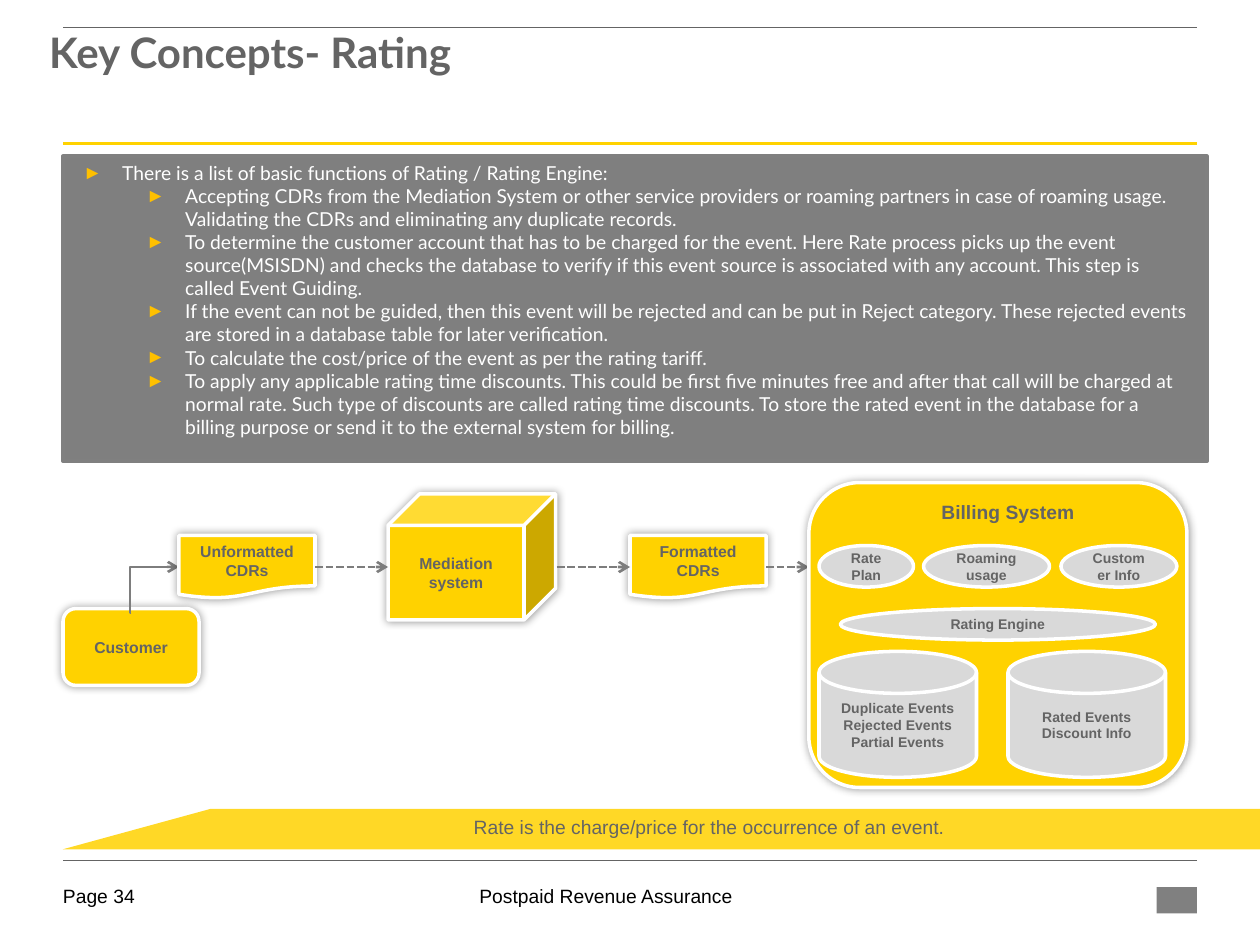
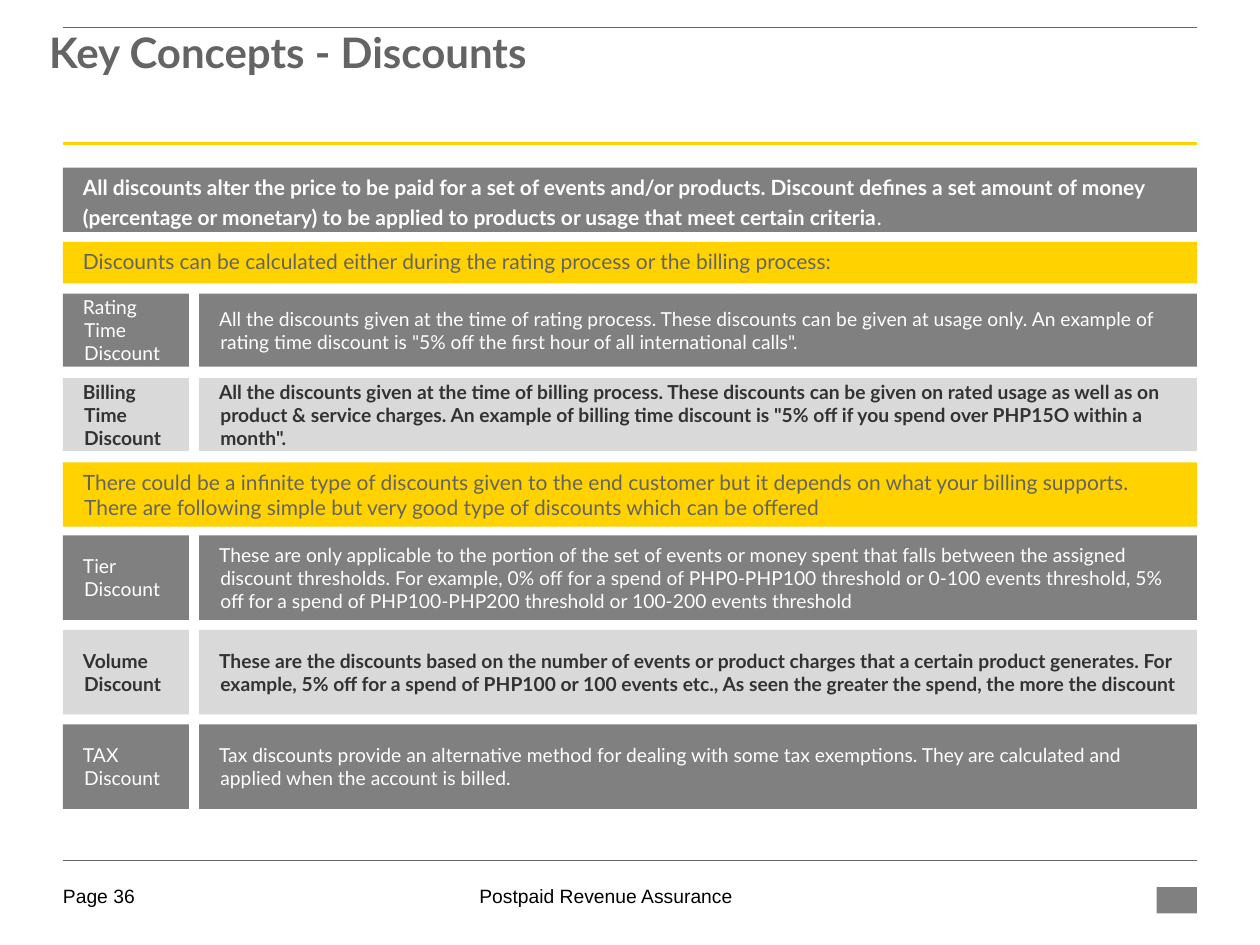
from dataclasses import dataclass

from lxml.etree import SubElement
from pptx import Presentation
from pptx.dml.color import RGBColor
from pptx.enum.dml import MSO_LINE
from pptx.enum.shapes import MSO_CONNECTOR, MSO_SHAPE
from pptx.enum.text import MSO_ANCHOR, MSO_AUTO_SIZE, PP_ALIGN
from pptx.oxml.ns import qn
from pptx.util import Inches, Pt


@dataclass(frozen=True)
class Theme:
    """Colours, fonts and type sizes shared by the slides."""
    yellow: str = "FFD200"
    bullet: str = "FFC000"
    grey: str = "808080"
    panel: str = "7F7F7F"
    pale: str = "D9D9D9"
    ink: str = "646464"
    dark: str = "323232"
    arrow: str = "7D7D7D"
    white: str = "FFFFFF"
    black: str = "000000"
    heading_font: str = "Lato"
    label_font: str = "Arial"
    title_size: int = 24
    lead_size: int = 12
    text_size: int = 11
    label_size: int = 9
    small_size: int = 8


THEME = Theme()


@dataclass(frozen=True)
class Box:
    """A rectangle in inches."""
    left: float
    top: float
    width: float
    height: float

    def inner(self, dx, dy, width, height):
        """Return a box placed relative to this one."""
        return Box(self.left + dx, self.top + dy, width, height)

    def emu(self):
        """Return left, top, width and height as lengths."""
        return [Inches(v) for v in (self.left, self.top, self.width, self.height)]


FUNCTIONS = [
    "There is a list of basic functions of Rating / Rating Engine:",
    "Accepting CDRs from the Mediation System or other service providers or roaming partners in case of "
    "roaming usage. Validating the CDRs and eliminating any duplicate records.",
    "To determine the customer account that has to be charged for the event. Here Rate process picks up the "
    "event source(MSISDN) and checks the database to verify if this event source is associated with any "
    "account. This step is called Event Guiding.",
    "If the event can not be guided, then this event will be rejected and can be put in Reject category. "
    "These rejected events are stored in a database table for later verification.",
    "To calculate the cost/price of the event as per the rating tariff.",
    "To apply any applicable rating time discounts. This could be first five minutes free and after that "
    "call will be charged at normal rate. Such type of discounts are called rating time discounts. To store "
    "the rated event in the database for a billing purpose or send it to the external system for billing.",
]

DEFINITION = (
    "All discounts alter the price to be paid for a set of events and/or products. Discount defines a set "
    "amount of money (percentage or monetary) to be applied to products or usage that meet certain criteria")
TIMING = "Discounts can be calculated either during the rating process or the billing process:"
VARIETY = (
    "There could be a infinite type of discounts given to the end customer but it depends on what your "
    "billing supports. There are following simple but very good type of discounts which can be offered")
TIMED_DISCOUNTS = [
    ("Rating Time Discount",
     "All the discounts given at the time of rating process. These discounts can be given at usage only. An "
     "example of rating time discount is \"5% off the first hour of all international calls\"."),
    ("Billing Time Discount",
     "All the discounts given at the time of billing process. These discounts can be given on rated usage as "
     "well as on product & service charges. An example of billing time discount is \"5% off if you spend over "
     "PHP15O within a month\"."),
]
OFFERED_DISCOUNTS = [
    ("Tier Discount",
     "These are only applicable to the portion of the set of events or money spent that falls between the "
     "assigned discount thresholds. For example, 0% off for a spend of PHP0-PHP100 threshold or 0-100 events "
     "threshold, 5% off for a spend of PHP100-PHP200 threshold or 100-200 events threshold"),
    ("Volume Discount",
     "These are the discounts based on the number of events or product charges that a certain product "
     "generates. For example, 5% off for a spend of PHP100 or 100 events etc., As seen the greater the spend, "
     "the more the discount"),
    ("TAX Discount",
     "Tax discounts provide an alternative method for dealing with some tax exemptions. They are calculated "
     "and applied when the account is billed."),
]


def rgb(colour):
    """Turn a hex string into a colour."""
    return RGBColor.from_string(colour)


def set_frame(frame, **formats):
    """Set text frame attributes over common defaults."""
    defaults = {"word_wrap": True, "auto_size": MSO_AUTO_SIZE.NONE, "vertical_anchor": MSO_ANCHOR.MIDDLE}
    for name, value in (defaults | formats).items():
        setattr(frame, name, value)


def add_run(paragraph, text, size, colour, font=THEME.label_font, bold=False):
    """Append a formatted run."""
    run = paragraph.add_run()
    run.text = text
    for name, value in {"size": Pt(size), "name": font, "bold": bold}.items():
        setattr(run.font, name, value)
    run.font.color.rgb = rgb(colour)


def indent(paragraph, left, first):
    """Set the left margin and first-line indent in inches."""
    properties = paragraph._p.get_or_add_pPr()
    properties.set("marL", str(Inches(left)))
    properties.set("indent", str(Inches(first)))
    return properties


def paint(shape, fill, line=None, width=2):
    """Fill and outline a shape."""
    shape.fill.solid()
    shape.fill.fore_color.rgb = rgb(fill)
    if line:
        shape.line.color.rgb = rgb(line)
        shape.line.width = Pt(width)
    else:
        shape.line.fill.background()


def add_block(slide, kind, box, fill, line=None):
    """Add a flat preset shape."""
    shape = slide.shapes.add_shape(kind, *box.emu())
    shape.shadow.inherit = False
    paint(shape, fill, line)
    return shape


def add_node(slide, kind, box, text="", fill=THEME.yellow, size=THEME.label_size, glow=True,
             anchor=MSO_ANCHOR.MIDDLE):
    """Add a white-edged diagram node with a centred label."""
    node = add_block(slide, kind, box, fill, THEME.white)
    if glow:
        effects = node._element.spPr.find(qn("a:effectLst"))
        shadow = SubElement(effects, qn("a:outerShdw"), blurRad=str(Pt(5)), dist="0", dir="0",
                            algn="ctr", rotWithShape="0")
        black = SubElement(shadow, qn("a:srgbClr"), val=THEME.black)
        SubElement(black, qn("a:alpha"), val="40000")
    set_frame(node.text_frame, vertical_anchor=anchor)
    write_lines(node.text_frame, text, size, True)
    return node


def write_lines(frame, text, size, bold=False, colour=THEME.ink, align=PP_ALIGN.CENTER):
    """Write one paragraph for each line of text."""
    for number, line in enumerate(text.splitlines()):
        paragraph = frame.add_paragraph() if number else frame.paragraphs[0]
        paragraph.alignment = align
        add_run(paragraph, line, size, colour, bold=bold)


def add_label(slide, box, text, margin=0.0, **style):
    """Add a text box anchored at its top."""
    frame = slide.shapes.add_textbox(*box.emu()).text_frame
    margins = dict.fromkeys(("margin_left", "margin_right", "margin_top", "margin_bottom"), Inches(margin))
    set_frame(frame, vertical_anchor=MSO_ANCHOR.TOP, **margins)
    write_lines(frame, text, THEME.text_size, **style)


def add_line(slide, start, end, colour, width, kind=MSO_CONNECTOR.STRAIGHT):
    """Add a connector without a shadow."""
    line = slide.shapes.add_connector(kind, *(Inches(v) for v in (*start, *end)))
    line.line.color.rgb = rgb(colour)
    line.line.width = Pt(width)
    SubElement(line._element.spPr, qn("a:effectLst"))
    return line


def add_arrow(slide, start, end, dashed=True, kind=MSO_CONNECTOR.STRAIGHT):
    """Add a flow arrow with an open head."""
    arrow = add_line(slide, start, end, THEME.arrow, 1.5, kind)
    if dashed:
        arrow.line.dash_style = MSO_LINE.SQUARE_DOT
    SubElement(arrow._element.spPr.find(qn("a:ln")), qn("a:tailEnd"), type="arrow")
    return arrow


def add_page(deck, layout, title, page):
    """Add a slide with its title, rules and footer."""
    slide = deck.slides.add_slide(deck.slide_layouts[layout])
    heading = slide.shapes.title
    heading.left, heading.top, heading.width, heading.height = Box(0.29, 0.22, 9.5, 0.94).emu()
    set_frame(heading.text_frame, vertical_anchor=MSO_ANCHOR.TOP)
    paragraph = heading.text_frame.paragraphs[0]
    paragraph.alignment = PP_ALIGN.LEFT
    paragraph.line_spacing = 0.85
    add_run(paragraph, title, THEME.title_size, THEME.ink, THEME.heading_font, True)
    for y, colour, width in ((0.22, THEME.ink, 0.5), (1.14, THEME.yellow, 1.5), (6.83, THEME.ink, 0.25)):
        add_line(slide, (0.5, y), (9.5, y), colour, width)
    footer = Box(0.5, 7.02, 9, 0.23)
    add_label(slide, footer.inner(0, 0, 0.73, 0.23), f"Page {page}", colour=THEME.black, align=PP_ALIGN.LEFT)
    add_label(slide, footer.inner(2.25, 0, 4.12, 0.23), "Postpaid Revenue Assurance", colour=THEME.black)
    add_block(slide, MSO_SHAPE.RECTANGLE, footer.inner(8.68, 0.02, 0.32, 0.21), THEME.grey)
    return slide


def fill_functions(slide, box):
    """Format the body placeholder as the panel of rating functions."""
    panel = slide.placeholders[1]
    panel.left, panel.top, panel.width, panel.height = box.emu()
    paint(panel, THEME.panel, THEME.grey)
    frame = panel.text_frame
    set_frame(frame, vertical_anchor=MSO_ANCHOR.TOP, margin_top=0)
    for number, text in enumerate(FUNCTIONS):
        paragraph = frame.add_paragraph() if number else frame.paragraphs[0]
        paragraph.level = min(number, 1)
        paragraph.line_spacing = 1.0 if number else 1.2
        paragraph.space_before = Pt(0)
        properties = indent(paragraph, 0.87 if number else 0.37, -0.31)
        SubElement(SubElement(properties, qn("a:buClr")), qn("a:srgbClr"), val=THEME.bullet)
        SubElement(properties, qn("a:buFont"), typeface=THEME.label_font)
        SubElement(properties, qn("a:buChar"), char="►")
        add_run(paragraph, text, THEME.text_size, THEME.white, THEME.heading_font)


def draw_flow(slide, box):
    """Draw the path of the CDRs from customer to billing."""
    add_node(slide, MSO_SHAPE.ROUNDED_RECTANGLE, box.inner(0, 0.91, 1.08, 0.61), "Customer")
    middle = box.top + 0.58
    bend = add_arrow(slide, (box.left + 0.54, box.top + 0.94), (box.left + 0.92, middle), False,
                     MSO_CONNECTOR.ELBOW)
    guides = bend._element.spPr.find(qn("a:prstGeom")).get_or_add_avLst()
    SubElement(guides, qn("a:gd"), name="adj1", fmla="val -1900")
    unformatted, formatted = (
        add_node(slide, MSO_SHAPE.FLOWCHART_DOCUMENT, box.inner(dx, 0.33, 1.08, 0.5), text)
        for dx, text in ((0.92, "Unformatted CDRs"), (4.5, "Formatted CDRs")))
    add_node(slide, MSO_SHAPE.CUBE, box.inner(2.58, 0, 1.33, 1), "Mediation system")
    for start, end, source, target in ((2, 2.58, unformatted, None), (3.92, 4.5, None, formatted),
                                       (5.58, 5.92, formatted, None)):
        arrow = add_arrow(slide, (box.left + start, middle), (box.left + end, middle))
        if source:
            arrow.begin_connect(source, 3)
        if target:
            arrow.end_connect(target, 1)


def draw_billing(slide, box):
    """Draw the billing system with its data and engine."""
    add_node(slide, MSO_SHAPE.ROUNDED_RECTANGLE, box)
    add_label(slide, box.inner(0.58, 0.09, 2, 0.29), "Billing System", 0.05, bold=True)
    oval, disk = MSO_SHAPE.OVAL, MSO_SHAPE.FLOWCHART_MAGNETIC_DISK
    middle, bottom = MSO_ANCHOR.MIDDLE, MSO_ANCHOR.BOTTOM
    for kind, place, text, anchor in (
            (oval, (0.08, 0.5, 0.75, 0.33), "Rate Plan", middle),
            (oval, (0.91, 0.5, 1, 0.33), "Roaming usage", middle),
            (oval, (2, 0.5, 0.92, 0.33), "Customer Info", middle),
            (oval, (0.25, 1, 2.5, 0.25), "Rating Engine", middle),
            (disk, (0.08, 1.34, 1.25, 1), "Duplicate Events\nRejected Events\nPartial Events", bottom),
            (disk, (1.58, 1.34, 1.25, 1), "Rated Events\nDiscount Info", middle)):
        add_node(slide, kind, box.inner(*place), text, THEME.pale, THEME.small_size, False, anchor)


def draw_banner(slide, box):
    """Draw the slanted banner with the closing statement."""
    right, bottom = box.left + box.width, box.top + box.height
    outline = slide.shapes.build_freeform(Inches(right), Inches(bottom))
    corners = [(box.left, bottom), (box.left + 1.17, box.top), (right, box.top)]
    outline.add_line_segments([(Inches(x), Inches(y)) for x, y in corners], close=True)
    banner = outline.convert_to_shape()
    banner.shadow.inherit = False
    paint(banner, THEME.yellow)
    SubElement(banner._element.spPr.find(qn("a:solidFill"))[0], qn("a:alpha"), val="85000")
    add_label(slide, box.inner(1.17, 0, 7.92, 0.29), "Rate is the charge/price for the occurrence of an event.", 0.05)


def add_bar(slide, box, text, fill, colour, size=THEME.text_size, bold=False, anchor=MSO_ANCHOR.MIDDLE):
    """Add a flat bar of left-aligned text and return its paragraph."""
    bar = add_block(slide, MSO_SHAPE.RECTANGLE, box, fill)
    set_frame(bar.text_frame, vertical_anchor=anchor)
    paragraph = bar.text_frame.paragraphs[0]
    paragraph.alignment = PP_ALIGN.LEFT
    indent(paragraph, 0.07, -0.01)
    add_run(paragraph, text, size, colour, THEME.heading_font, bold)
    return paragraph


def add_discounts(slide, box, discounts, height, step):
    """Stack name and explanation pairs in alternating tones."""
    for number, (name, meaning) in enumerate(discounts):
        fill, colour, bold = ((THEME.grey, THEME.white, False), (THEME.pale, THEME.dark, True))[number % 2]
        for dx, width, text in ((0, 1, name), (1.08, box.width - 1.08, meaning)):
            add_bar(slide, box.inner(dx, number * step, width, height), text, fill, colour, bold=bold)


def draw_discounts(slide, box):
    """Lay out the bars and rows of the discounts slide."""
    lead = add_bar(slide, box.inner(0, 0, box.width, 0.51), DEFINITION, THEME.grey, THEME.white,
                   THEME.lead_size, True)
    lead.line_spacing = 1.2
    indent(lead, 0.06, 0)
    add_run(lead, ".", THEME.lead_size, THEME.white, THEME.heading_font)
    for dy, height, text, anchor in ((0.59, 0.33, TIMING, MSO_ANCHOR.TOP), (2.34, 0.51, VARIETY, MSO_ANCHOR.MIDDLE)):
        add_bar(slide, box.inner(0, dy, box.width, height), text, THEME.yellow, THEME.ink,
                THEME.lead_size, anchor=anchor)
    add_discounts(slide, box.inner(0, 1, box.width, 1.25), TIMED_DISCOUNTS, 0.58, 0.67)
    add_discounts(slide, box.inner(0, 2.92, box.width, 2.17), OFFERED_DISCOUNTS, 0.67, 0.75)


def main():
    """Build and save the two slides."""
    deck = Presentation()
    deck.slide_width, deck.slide_height = Inches(10), Inches(7.5)
    rating = add_page(deck, 1, "Key Concepts- Rating", 34)
    fill_functions(rating, Box(0.5, 1.24, 9.08, 2.42))
    draw_flow(rating, Box(0.5, 3.92, 5.92, 1.52))
    draw_billing(rating, Box(6.42, 3.83, 3, 2.42))
    draw_banner(rating, Box(0.5, 6.42, 9.5, 0.32))
    discounts = add_page(deck, 5, "Key Concepts - Discounts", 36)
    draw_discounts(discounts, Box(0.5, 1.33, 9, 5.09))
    deck.save("out.pptx")


if __name__ == "__main__":
    main()
